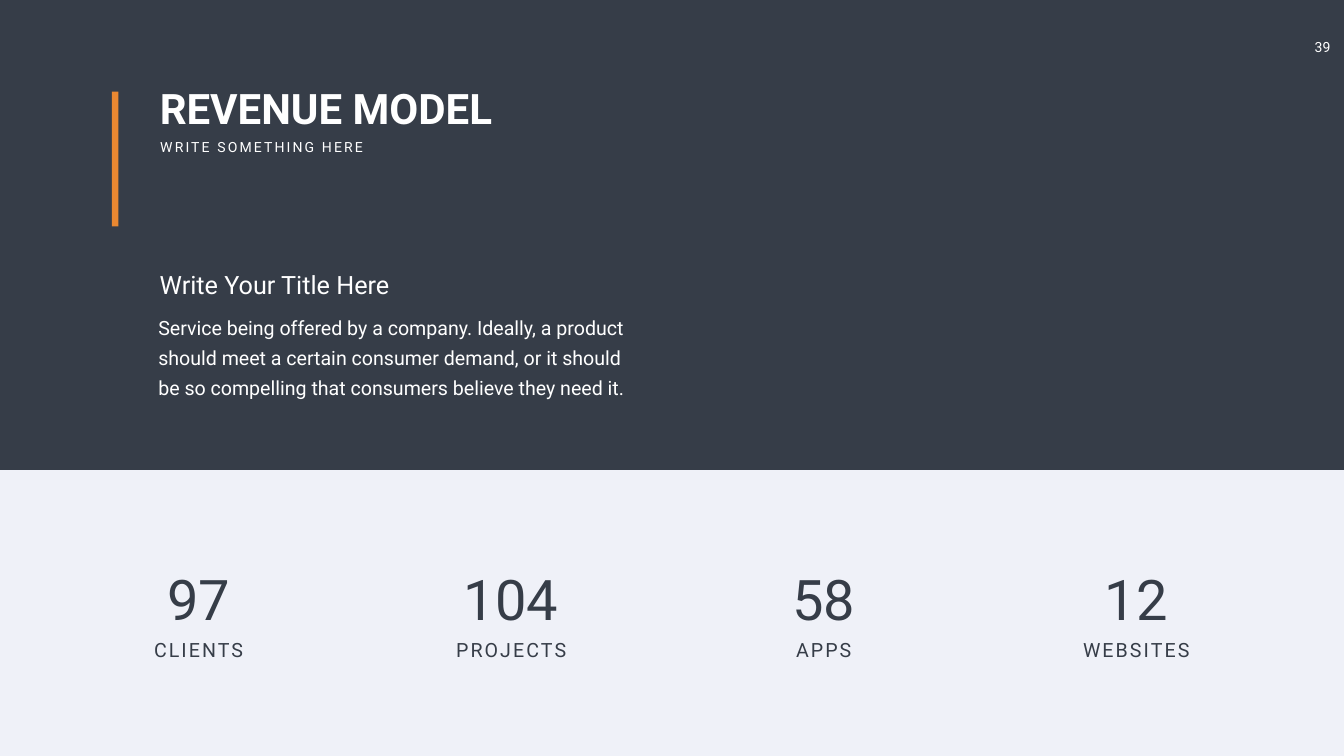
from pptx import Presentation
from pptx.dml.color import RGBColor
from pptx.enum.shapes import MSO_SHAPE
from pptx.enum.text import MSO_ANCHOR, MSO_AUTO_SIZE, PP_ALIGN
from pptx.util import Inches, Pt

DARK, PALE, ORANGE, WHITE = "363D48", "EFF1F8", "EA8831", "FFFFFF"


def color(hex_code):
    return RGBColor.from_string(hex_code)


class SlideBuilder:
    """Holds the style and the slide being built."""
    font_name = "Roboto"

    def __init__(self, slide, background):
        self.slide = slide
        slide.background.fill.solid()
        slide.background.fill.fore_color.rgb = color(background)

    def set_text(self, box, text, size, hex_code, bold=False,
                 align=PP_ALIGN.LEFT, wrap=True, tracking=0):
        frame = box.text_frame
        frame.auto_size = MSO_AUTO_SIZE.NONE
        frame.word_wrap = wrap
        frame.vertical_anchor = MSO_ANCHOR.TOP
        paragraph = frame.paragraphs[0]
        run = paragraph.add_run()
        run.text = text
        if tracking:
            run._r.get_or_add_rPr().set("spc", str(tracking * 100))
        paragraph.alignment = align
        font = paragraph.font
        font.name = self.font_name
        font.size = Pt(size)
        font.bold = bold
        font.color.rgb = color(hex_code)
        return frame

    def title(self, text, left, top, width, height, size, hex_code):
        box = self.slide.shapes.title
        box.left, box.top = Inches(left), Inches(top)
        box.width, box.height = Inches(width), Inches(height)
        self.set_text(box, text, size, hex_code, bold=True)

    def label(self, text, left, top, width, height, size, hex_code, **style):
        box = self.slide.shapes.add_textbox(
            Inches(left), Inches(top), Inches(width), Inches(height))
        return self.set_text(box, text, size, hex_code, **style)

    def block(self, left, top, width, height, hex_code):
        shape = self.slide.shapes.add_shape(
            MSO_SHAPE.RECTANGLE,
            Inches(left), Inches(top), Inches(width), Inches(height))
        shape.shadow.inherit = False
        shape.fill.solid()
        shape.fill.fore_color.rgb = color(hex_code)
        shape.line.fill.background()

    def statistic(self, number, caption, center):
        width = 2.5
        left = center - width / 2
        self.label(number, left, 11.16, width, 1.45, 80, DARK,
                   align=PP_ALIGN.CENTER, wrap=False)
        self.label(caption, left, 12.6, width, 0.57, 28, DARK,
                   align=PP_ALIGN.CENTER, wrap=False, tracking=3)


def main():
    deck = Presentation()
    deck.slide_width, deck.slide_height = Inches(26.66), Inches(15)
    title_only = deck.slide_layouts[5]
    page = SlideBuilder(deck.slides.add_slide(title_only), DARK)

    # Page number
    page.label("39", 25.98, 0.72, 0.6, 0.44, 20, WHITE, wrap=False)

    # Statistics band
    page.block(0, 9.33, 26.66, 5.67, PALE)
    statistics = [("97", "CLIENTS"), ("104", "PROJECTS"),
                  ("58", "APPS"), ("12", "WEBSITES")]
    first_center, pitch = 3.94, 6.2
    for index, (number, caption) in enumerate(statistics):
        page.statistic(number, caption, first_center + index * pitch)

    # Heading with accent bar
    page.title("REVENUE MODEL", 3.07, 1.59, 7.8, 1.11, 60, WHITE)
    page.label("WRITE SOMETHING HERE", 3.08, 2.7, 4.35, 0.44, 20, WHITE,
               wrap=False, tracking=3)
    page.block(2.22, 1.82, 0.13, 2.67, ORANGE)

    # Introduction
    page.label("Write Your Title Here", 3.07, 5.3, 5.67, 0.71, 36, WHITE)
    introduction = page.label(
        "Service being offered by a company. Ideally, a product should meet "
        "a certain consumer demand, or it should be so compelling that "
        "consumers believe they need it.",
        2.9, 6.01, 10.03, 2, 28, WHITE)
    introduction.margin_left = introduction.margin_right = Inches(0.24)
    introduction.margin_top = introduction.margin_bottom = Inches(0.12)
    introduction.paragraphs[0].line_spacing = Pt(43)

    deck.save("out.pptx")


if __name__ == "__main__":
    main()
